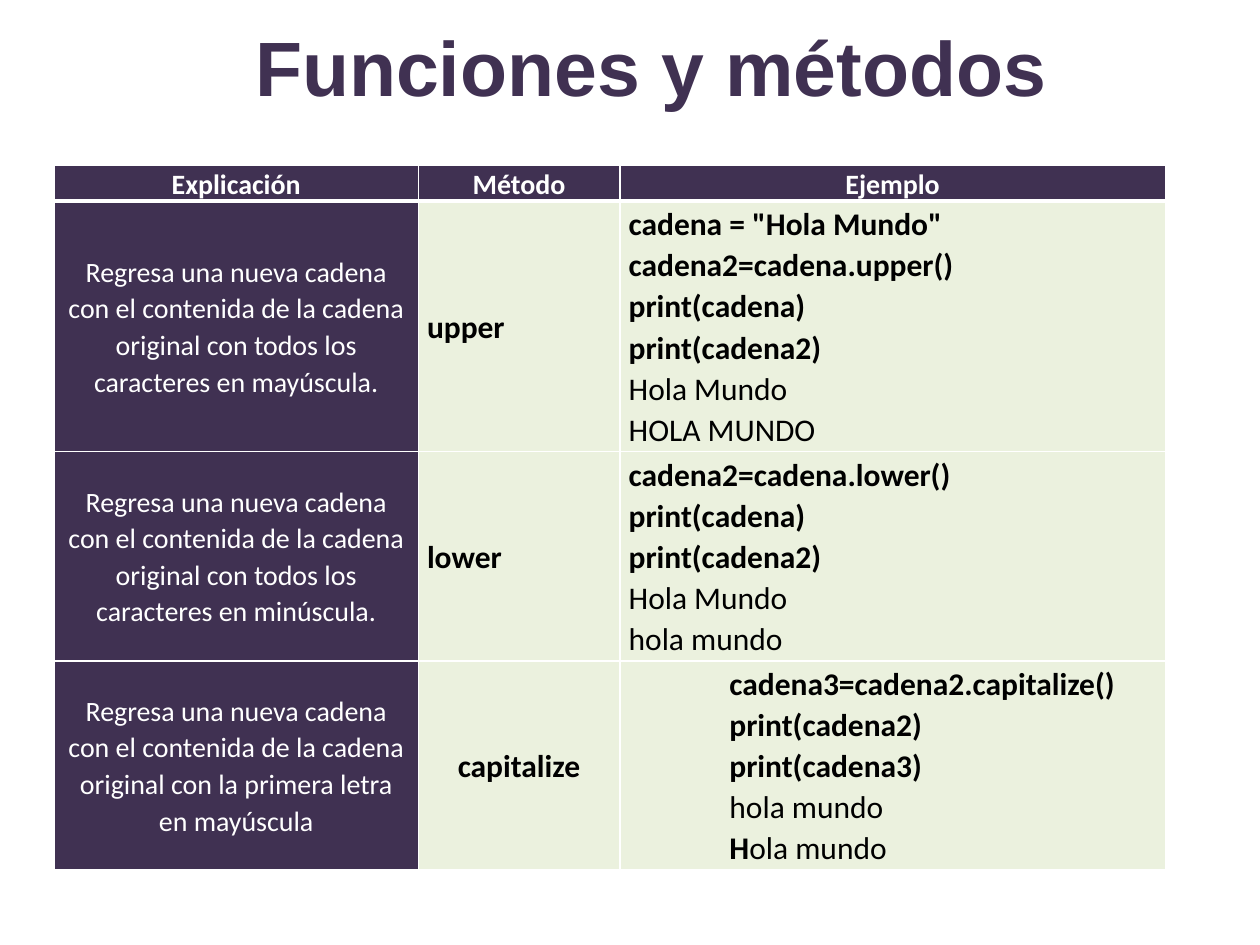
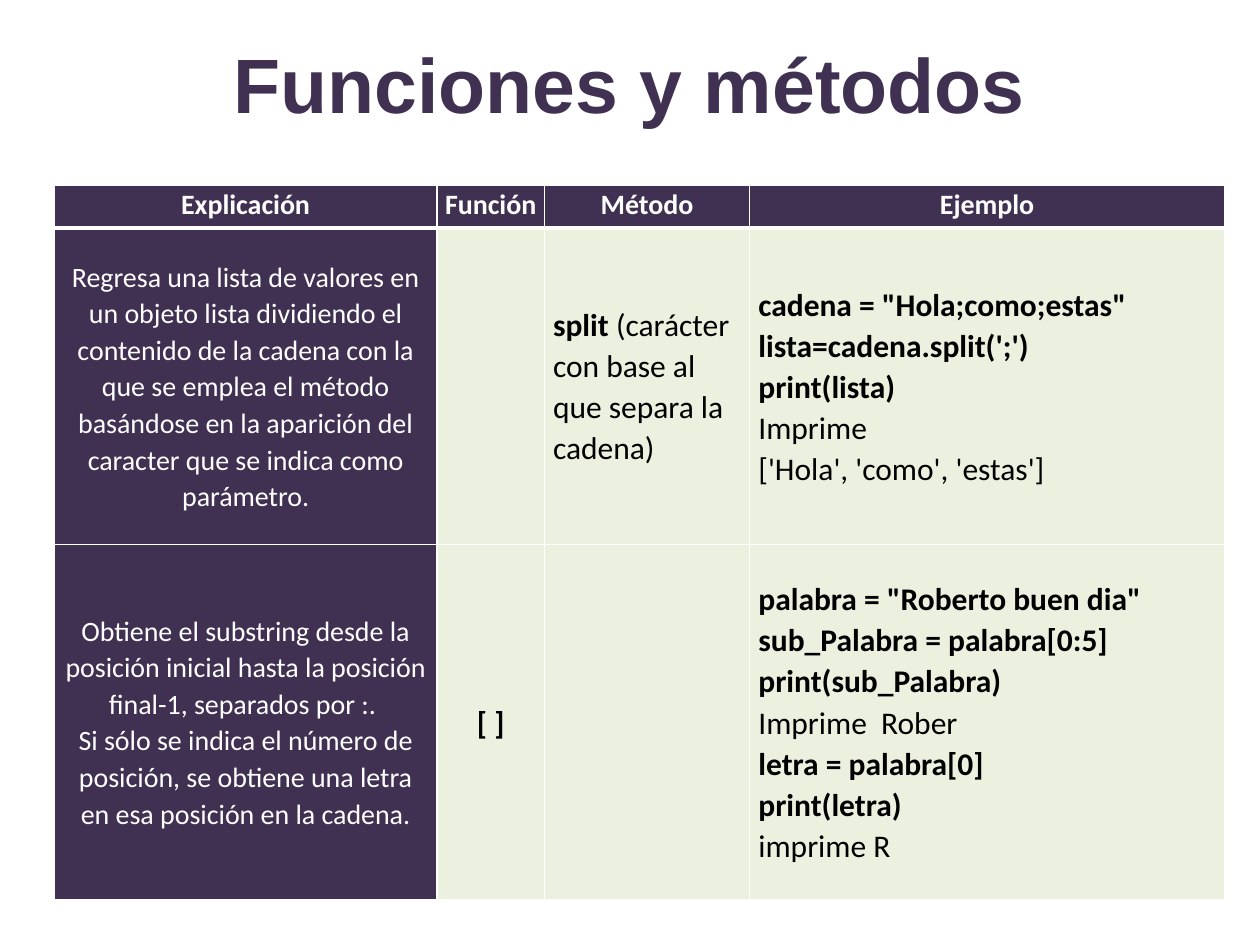
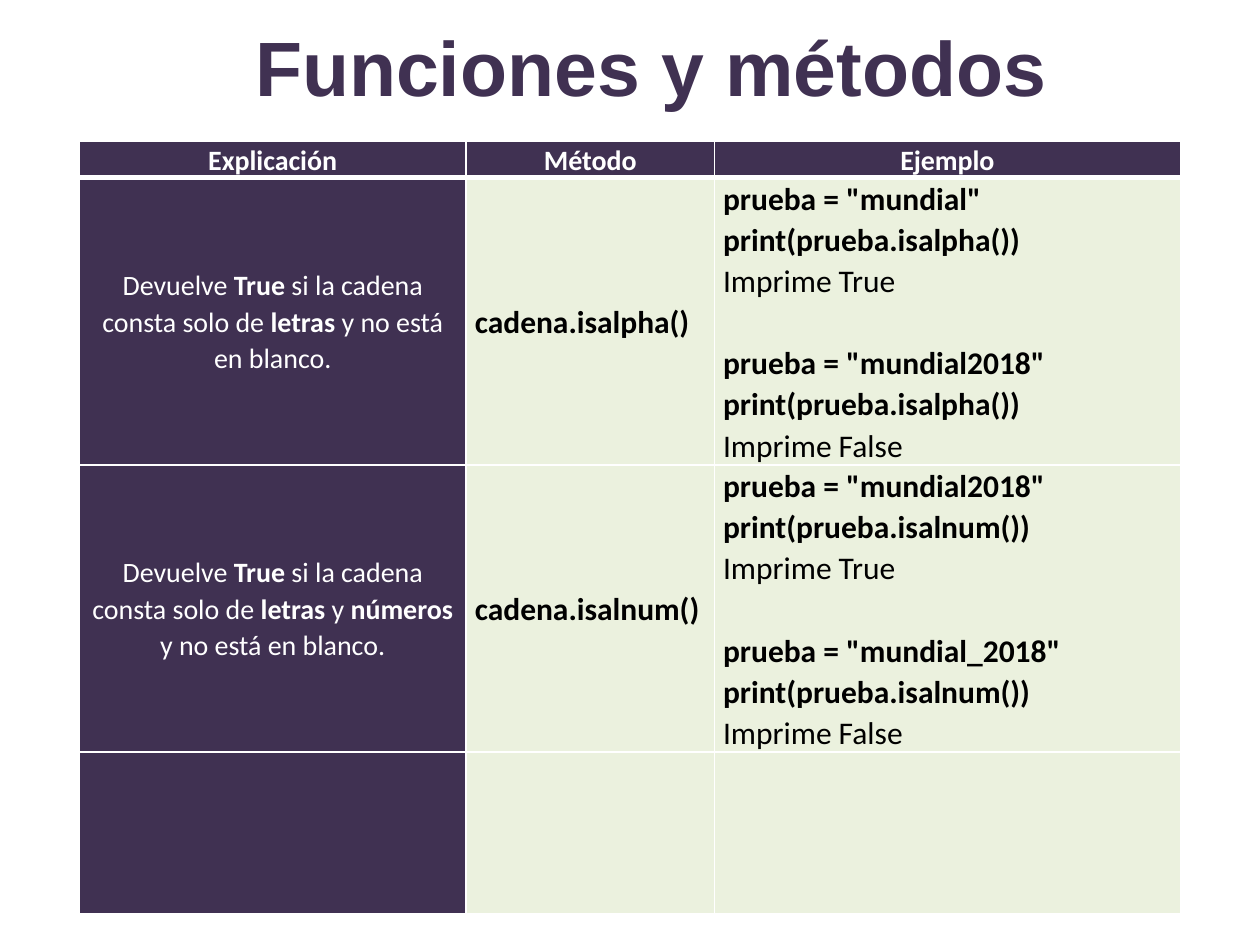
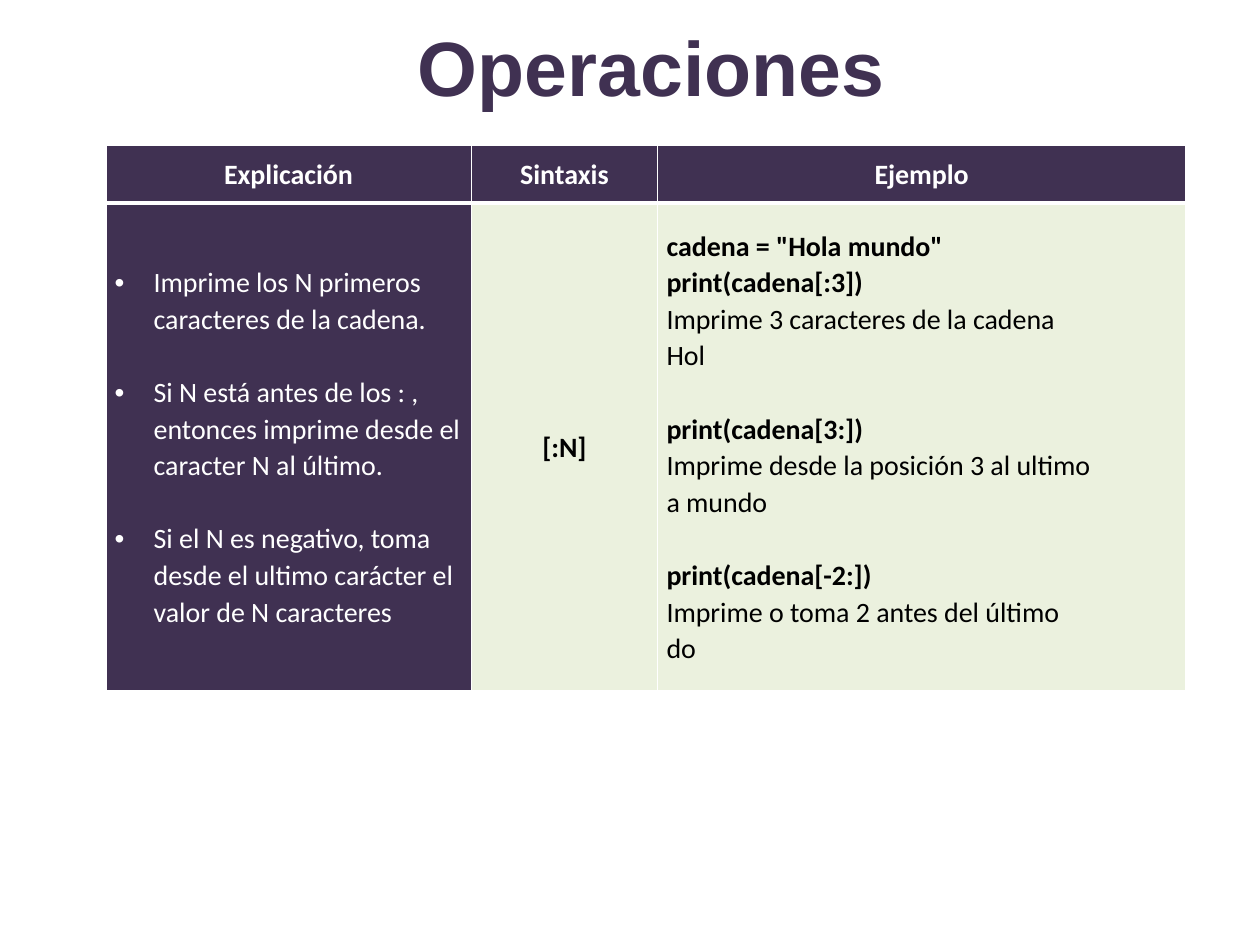
from dataclasses import dataclass

from lxml import etree
from pptx import Presentation
from pptx import util as u
from pptx.dml.color import RGBColor
from pptx.enum import text
from pptx.oxml.ns import qn

PURPLE, GREEN, WHITE, BLACK = "403152", "EBF1DE", "FFFFFF", "000000"
LEFT, CENTER = text.PP_ALIGN.LEFT, text.PP_ALIGN.CENTER
TOP, MIDDLE = text.MSO_ANCHOR.TOP, text.MSO_ANCHOR.MIDDLE
LINE_SPACING = 1.07
FONT_LINE = 1.22  # natural line height of the body font, in ems


def rgb(value):
    return RGBColor.from_string(value)


@dataclass
class Cell:
    """Cell content: ** switches bold, and an empty line leaves a gap."""
    text: str
    align: int = LEFT
    indent: float = 0
    bullet: bool = False


class Deck:
    def __init__(self):
        self.prs = Presentation()
        self.prs.slide_width, self.prs.slide_height = u.Inches(10), u.Inches(7.5)
        self.s = None

    def slide(self, title, left=1.17, top=-0.1):
        self.s = self.prs.slides.add_slide(self.prs.slide_layouts[6])
        box = self.s.shapes.add_textbox(*map(u.Inches, (left, top, 8, 1.25)))
        tf = box.text_frame
        tf.word_wrap, tf.vertical_anchor = True, MIDDLE
        tf.text = title
        p = tf.paragraphs[0]
        p.alignment = CENTER
        self.style(p.runs[0], 44, PURPLE, True, "Arial")

    def style(self, r, size, color, bold, font="Calibri"):
        r.font.name, r.font.size, r.font.bold = font, u.Pt(size), bold
        r.font.color.rgb = rgb(color)

    def table(self, left, top, cols, heights, heads, body, size=18, head_anchor=TOP):
        """Draw a header row, and body rows whose first column explains."""
        frame = self.s.shapes.add_table(
            len(heights), len(cols),
            *map(u.Inches, (left, top, sum(cols), sum(heights))))
        tbl = frame.table
        tbl.horz_banding = False
        for column, width in zip(tbl.columns, cols):
            column.width = u.Inches(width)
        for row, height in zip(tbl.rows, heights):
            row.height = u.Inches(height)
        for j, head in enumerate(heads):
            cell = tbl.cell(0, j)
            self.box(cell, PURPLE, 0.03, head_anchor, bottom=3)
            self.fill_text(cell, Cell(f"**{head}", CENTER), 16, WHITE)
        for i, contents in enumerate(body, 1):
            for j, content in enumerate(contents):
                cell = tbl.cell(i, j)
                first = j == 0
                self.box(cell, PURPLE if first else GREEN, 0.07, MIDDLE,
                         top=3 if i == 1 else 1)
                if isinstance(content, str):
                    content = Cell(content, CENTER if first else LEFT)
                if content.text:
                    self.fill_text(cell, content, 16 if first else size,
                                   WHITE if first else BLACK)

    def box(self, cell, fill, inset, anchor, top=1, bottom=1):
        """Set the borders, fill, margins and anchor of a cell."""
        tc_pr = cell._tc.get_or_add_tcPr()
        for side, width in zip("LRTB", (1, 1, top, bottom)):
            ln = etree.SubElement(tc_pr, qn(f"a:ln{side}"), w=str(u.Pt(width)))
            solid = etree.SubElement(ln, qn("a:solidFill"))
            etree.SubElement(solid, qn("a:srgbClr"), val=WHITE)
        cell.fill.solid()
        cell.fill.fore_color.rgb = rgb(fill)
        cell.margin_left = cell.margin_right = u.Inches(inset)
        cell.margin_top = cell.margin_bottom = 0
        cell.vertical_anchor = anchor

    def fill_text(self, cell, content, size, color):
        tf = cell.text_frame
        p, bold, gap = None, False, False
        for line in content.text.split("\n"):
            if not line:
                gap = True
                continue
            p = tf.add_paragraph() if p is not None else tf.paragraphs[0]
            p.alignment, p.line_spacing = content.align, LINE_SPACING
            if gap:
                p.space_before = u.Pt(round(size * FONT_LINE * LINE_SPACING, 1))
                gap = False
            self.indent(p, content)
            for k, part in enumerate(line.split("**")):
                bold = bold != (k > 0)
                if part:
                    r = p.add_run()
                    r.text = part
                    self.style(r, size, color, bold)

    def indent(self, p, content):
        p_pr = p._p.get_or_add_pPr()
        if content.indent:
            p_pr.set("marL", str(u.Inches(content.indent)))
        if content.bullet:
            p_pr.set("indent", str(-u.Inches(content.indent)))
            etree.SubElement(p_pr, qn("a:buFont"), typeface="Arial")
            etree.SubElement(p_pr, qn("a:buChar"), char="•")


def case_methods(deck):
    explanation = ("Regresa una nueva cadena con el contenida de la cadena "
                   "original con {}")
    deck.slide("Funciones y métodos")
    deck.table(
        0.43, 1.31, (2.89, 1.6, 4.33), (0.28, 1.99, 1.66, 1.66),
        ("Explicación", "Método", "Ejemplo"),
        [
            (explanation.format("todos los caracteres en mayúscula."),
             "**upper",
             '**cadena = "Hola Mundo"\ncadena2=cadena.upper()\n'
             "print(cadena)\nprint(cadena2)**\nHola Mundo\nHOLA MUNDO"),
            (explanation.format("todos los caracteres en minúscula."),
             "**lower",
             "**cadena2=cadena.lower()\nprint(cadena)\nprint(cadena2)**\n"
             "Hola Mundo\nhola mundo"),
            (explanation.format("la primera letra en mayúscula"),
             Cell("**capitalize", CENTER),
             Cell("**cadena3=cadena2.capitalize()\nprint(cadena2)\n"
                  "print(cadena3)**\nhola mundo\n**H**ola mundo", indent=0.8)),
        ])


def split_and_substring(deck):
    deck.slide("Funciones y métodos", 1, 0.03)
    deck.table(
        0.43, 1.47, (3.04, 0.85, 1.63, 3.77), (0.34, 2.51, 2.82),
        ("Explicación", "Función", "Método", "Ejemplo"),
        [
            ("Regresa una lista de valores en un objeto lista dividiendo el "
             "contenido de la cadena con la que se emplea el método basándose "
             "en la aparición del caracter que se indica como parámetro.",
             "",
             "**split **(carácter con base al que separa la cadena)",
             "**cadena = \"Hola;como;estas\"\nlista=cadena.split(';')\n"
             "print(lista)**\nImprime\n['Hola', 'como', 'estas']"),
            ("Obtiene el substring desde la posición inicial hasta la "
             "posición final-1, separados por :. \n"
             "Si sólo se indica el número de posición, se obtiene una letra "
             "en esa posición en la cadena.",
             Cell("**[ ]", CENTER),
             "",
             '**palabra = "Roberto buen dia"\nsub_Palabra = palabra[0:5]\n'
             "print(sub_Palabra)**\nImprime  Rober\n"
             "**letra = palabra[0]\nprint(letra)**\nimprime R"),
        ])


def content_tests(deck):
    def example(method, accepted, rejected):
        return "\n\n".join(
            f'**prueba = "{value}"\nprint(prueba.{method}())**\nImprime {result}'
            for value, result in ((accepted, True), (rejected, False)))

    explanation = ("Devuelve **True** si la cadena consta solo de **letras **"
                   "{}y no está en blanco.")
    deck.slide("Funciones y métodos")
    deck.table(
        0.63, 1.12, (3.07, 1.97, 3.7), (0.29, 2.28, 2.28, 1.28),
        ("Explicación", "Método", "Ejemplo"),
        [
            (explanation.format(""), "**cadena.isalpha()",
             example("isalpha", "mundial", "mundial2018")),
            (explanation.format("y **números **"), "**cadena.isalnum()",
             example("isalnum", "mundial2018", "mundial_2018")),
            ("", "", ""),
        ])


def slicing(deck):
    deck.slide("Operaciones")
    deck.table(
        0.84, 1.15, (2.9, 1.48, 4.19), (0.46, 3.87),
        ("Explicación", "Sintaxis", "Ejemplo"),
        [
            (Cell("Imprime los N primeros caracteres de la cadena.\n\n"
                  "Si N está antes de los : , entonces imprime desde el "
                  "caracter N al último.\n\n"
                  "Si el N es negativo, toma desde el ultimo carácter el "
                  "valor de N caracteres", indent=0.31, bullet=True),
             Cell("**[:N]", CENTER),
             '**cadena = "Hola mundo"\nprint(cadena[:3])**\n'
             "Imprime 3 caracteres de la cadena\nHol\n\n"
             "**print(cadena[3:])**\n"
             "Imprime desde la posición 3 al ultimo\na mundo\n\n"
             "**print(cadena[-2:])**\n"
             "Imprime o toma 2 antes del último\ndo"),
        ],
        size=16, head_anchor=MIDDLE)


def main():
    deck = Deck()
    for build in (case_methods, split_and_substring, content_tests, slicing):
        build(deck)
    deck.prs.save("out.pptx")


if __name__ == "__main__":
    main()
